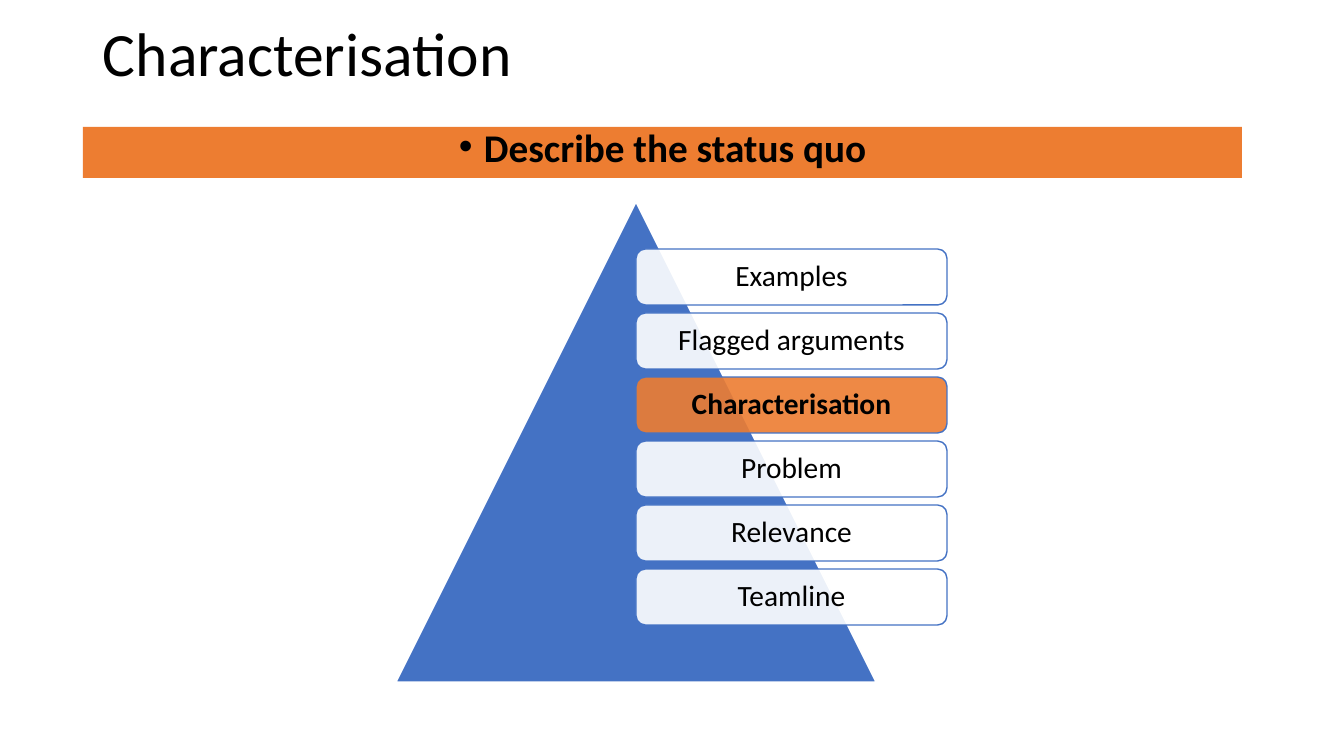
from dataclasses import dataclass

from lxml.etree import SubElement
from pptx import Presentation
from pptx.dml.color import RGBColor
from pptx.enum.shapes import MSO_SHAPE
from pptx.enum.text import MSO_ANCHOR, PP_ALIGN
from pptx.oxml.ns import qn
from pptx.shapes.autoshape import Shape
from pptx.slide import Slide
from pptx.util import Emu, Pt

SLIDE_WIDTH, SLIDE_HEIGHT = 1344, 756
EMU_PER_PX = 12192000 / SLIDE_WIDTH
FONT = "Calibri"
COLOURS = {
    "text": "000000",
    "paper": "FFFFFF",
    "pyramid": "4472C4",
    "highlight": "ED7D31",
}


@dataclass(frozen=True)
class Area:
    left: int
    top: int
    width: int
    height: int


@dataclass(frozen=True)
class Step:
    label: str
    current: bool = False


TITLE_AREA = Area(93, 0, 1159, 113)
BANNER_AREA = Area(83, 127, 1159, 51)
PYRAMID_AREA = Area(396, 202, 480, 480)
FIRST_STEP_AREA = Area(636, 249, 311, 56)
STEP_PITCH = 64
STEP_MARGIN = 9
BULLET_INDENT = 25
STEPS = [
    Step("Examples"),
    Step("Flagged arguments"),
    Step("Characterisation", current=True),
    Step("Problem"),
    Step("Relevance"),
    Step("Teamline"),
]


def px(length: int) -> Emu:
    return Emu(round(length * EMU_PER_PX))


def colour(name: str) -> RGBColor:
    return RGBColor.from_string(COLOURS[name])


def place(area: Area) -> tuple[Emu, Emu, Emu, Emu]:
    return px(area.left), px(area.top), px(area.width), px(area.height)


def add_filled(page: Slide, kind: MSO_SHAPE, area: Area, fill: str,
               line: str | None = None) -> Shape:
    shape = page.shapes.add_shape(kind, *place(area))
    shape.shadow.inherit = False
    shape.fill.solid()
    shape.fill.fore_color.rgb = colour(fill)
    if line:
        shape.line.color.rgb = colour(line)
        shape.line.width = Pt(1)
    else:
        shape.line.fill.background()
    return shape


def write(shape: Shape, text: str, size: int, align: PP_ALIGN, anchor: MSO_ANCHOR,
          bold: bool = False, line_spacing: float = 0.9) -> None:
    frame = shape.text_frame
    frame.word_wrap = True
    frame.vertical_anchor = anchor
    para = frame.paragraphs[0]
    para.text = text
    para.alignment = align
    para.line_spacing = line_spacing
    para.font.name = FONT
    para.font.size = Pt(size)
    para.font.bold = bold
    para.font.color.rgb = colour("text")


def set_opacity(shape: Shape, percent: int) -> None:
    rgb = shape.fill._xPr.find(qn("a:solidFill")).find(qn("a:srgbClr"))
    SubElement(rgb, qn("a:alpha"), val=str(percent * 1000))


def add_bullet(shape: Shape) -> None:
    properties = shape.text_frame.paragraphs[0]._p.get_or_add_pPr()
    properties.set("marL", str(px(BULLET_INDENT)))
    properties.set("indent", str(-px(BULLET_INDENT)))
    bullet_font = SubElement(properties, qn("a:buFont"), typeface="Arial")
    bullet = SubElement(properties, qn("a:buChar"), char="•")
    properties.find(qn("a:defRPr")).addprevious(bullet_font)
    bullet_font.addnext(bullet)


def add_title(page: Slide) -> None:
    title = page.shapes.add_textbox(*place(TITLE_AREA))
    write(title, "Characterisation", 44, PP_ALIGN.LEFT, MSO_ANCHOR.MIDDLE)


def add_banner(page: Slide) -> None:
    banner = add_filled(page, MSO_SHAPE.RECTANGLE, BANNER_AREA, "highlight")
    write(banner, "Describe the status quo", 28, PP_ALIGN.CENTER, MSO_ANCHOR.TOP,
          bold=True, line_spacing=0.8)
    banner.text_frame.paragraphs[0].space_before = Pt(10)
    add_bullet(banner)


def add_step(page: Slide, step: Step, index: int) -> None:
    first = FIRST_STEP_AREA
    area = Area(first.left, first.top + index * STEP_PITCH, first.width, first.height)
    fill = "highlight" if step.current else "paper"
    box = add_filled(page, MSO_SHAPE.ROUNDED_RECTANGLE, area, fill, "pyramid")
    set_opacity(box, 90)
    write(box, step.label, 21, PP_ALIGN.CENTER, MSO_ANCHOR.MIDDLE, bold=step.current)
    frame = box.text_frame
    frame.margin_left = frame.margin_right = px(STEP_MARGIN)
    frame.margin_top = frame.margin_bottom = px(STEP_MARGIN)


def main() -> None:
    deck = Presentation()
    deck.slide_width = px(SLIDE_WIDTH)
    deck.slide_height = px(SLIDE_HEIGHT)
    page = deck.slides.add_slide(deck.slide_layouts[6])
    add_title(page)
    add_banner(page)
    add_filled(page, MSO_SHAPE.ISOSCELES_TRIANGLE, PYRAMID_AREA, "pyramid", "paper")
    for index, step in enumerate(STEPS):
        add_step(page, step, index)
    deck.save("out.pptx")


if __name__ == "__main__":
    main()
